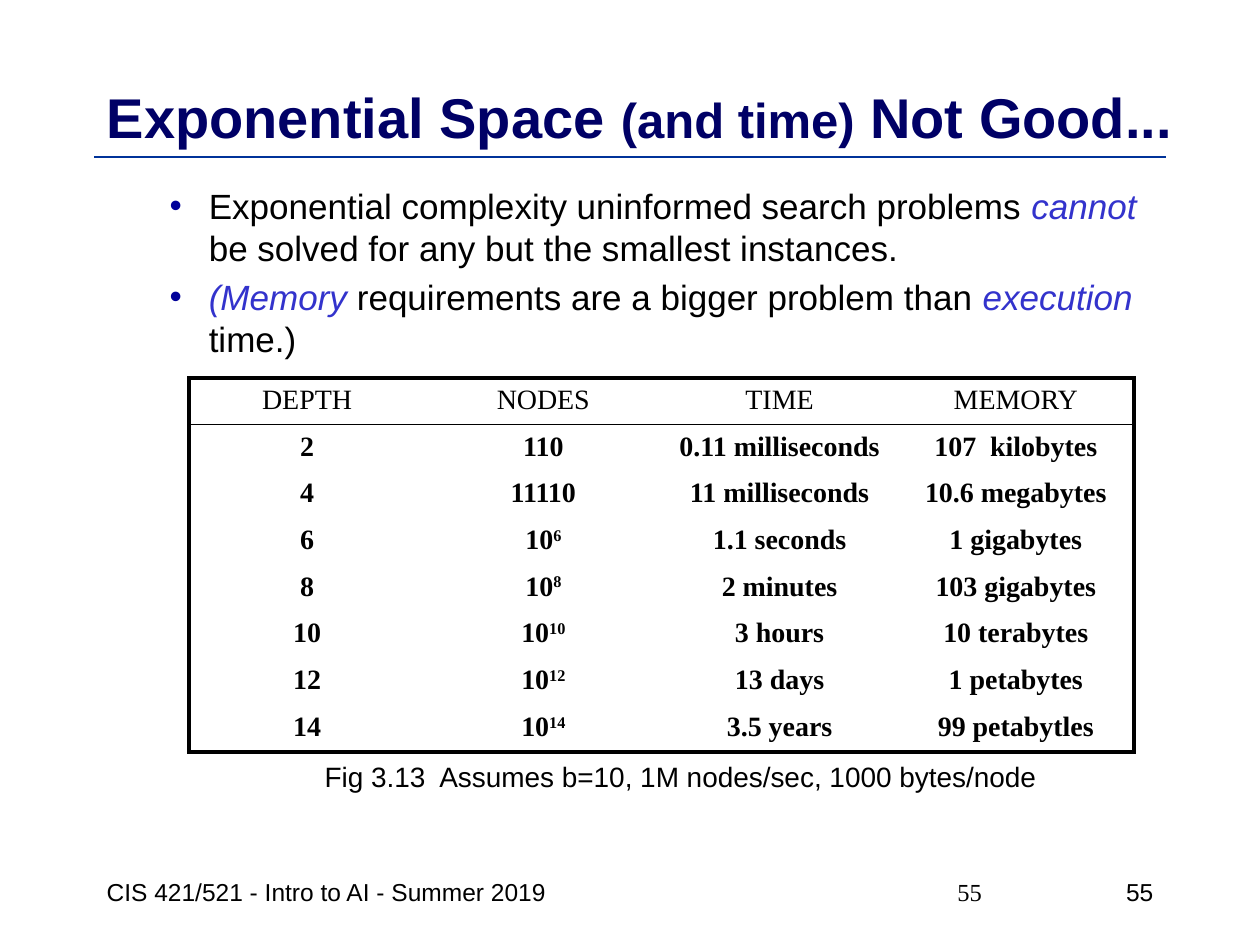
from lxml.etree import SubElement
from pptx import Presentation
from pptx.dml.color import RGBColor
from pptx.enum.text import MSO_ANCHOR as Anchor, PP_ALIGN as Align
from pptx.oxml import parse_xml
from pptx.oxml.ns import nsdecls, qn
from pptx.util import Cm, Pt

COLORS = {"black": "000000", "title": "000066", "rule": "003399",
          "bullet": "000099", "accent": "3333CC"}
SANS, SERIF = "Arial", "Times New Roman"

TITLE = [("Exponential Space ", 32), ("(and time)", 28), (" Not Good...", 32)]
# Each run: text, emphasised
BULLETS = [
    [("Exponential complexity uninformed search problems ", False),
     ("cannot ", True),
     ("be solved for any but the smallest instances.", False)],
    [("(Memory ", True), ("requirements are a bigger problem than ", False),
     ("execution ", True), ("time.)", False)],
]
# "^" starts a superscript
TABLE = [
    ("DEPTH", "NODES", "TIME", "MEMORY"),
    ("2", "110", "0.11 milliseconds", "107  kilobytes"),
    ("4", "11110", "11 milliseconds", "10.6 megabytes"),
    ("6", "10^6", "1.1 seconds", "1 gigabytes"),
    ("8", "10^8", "2 minutes", "103 gigabytes"),
    ("10", "10^10", "3 hours", "10 terabytes"),
    ("12", "10^12", "13 days", "1 petabytes"),
    ("14", "10^14", "3.5 years", "99 petabytles"),
]
# Text, font, size, alignment, left, top, width, height in cm
LABELS = [
    ("Fig 3.13  Assumes b=10, 1M nodes/sec, 1000 bytes/node",
     SANS, 16, Align.CENTER, 6.22, 15.14, 15, 1),
    ("CIS 421/521 - Intro to AI - Summer 2019",
     SANS, 14, Align.LEFT, 1.9, 17.35, 12, 1.27),
    ("55", SERIF, 14, Align.LEFT, 19.05, 17.35, 2, 1.27),
    ("55", SANS, 14, Align.RIGHT, 21.5, 17.35, 2, 1.27),
]


def rgb(name):
    return RGBColor.from_string(COLORS[name])


def add_run(p, text, font, size, color="black", bold=False, italic=False):
    r = p.add_run()
    r.text = text
    r.font.name, r.font.size = font, Pt(size)
    r.font.bold, r.font.italic = bold, italic
    r.font.color.rgb = rgb(color)
    return r


def add_text_frame(slide, left, top, width, height):
    box = slide.shapes.add_textbox(Cm(left), Cm(top), Cm(width), Cm(height))
    box.text_frame.word_wrap = True
    return box.text_frame


def add_title(slide):
    title = slide.shapes.title
    title.left, title.top = Cm(1.9), Cm(1.7)
    title.width, title.height = Cm(22.23), Cm(1.27)
    tf = title.text_frame
    tf.vertical_anchor = Anchor.MIDDLE
    p = tf.paragraphs[0]
    p.alignment = Align.LEFT
    for text, size in TITLE:
        add_run(p, text, SANS, size, "title", bold=True)


def add_rule(slide):
    line = slide.shapes.add_connector(1, Cm(1.9), Cm(3.17), Cm(23.5), Cm(3.17))
    line.line.color.rgb = rgb("rule")
    line.line.width = Pt(1)
    SubElement(line._element.spPr, qn("a:effectLst"))


def add_bullets(slide):
    tf = add_text_frame(slide, 1.9, 3.6, 21.6, 3.9)
    for i, runs in enumerate(BULLETS):
        p = tf.add_paragraph() if i else tf.paragraphs[0]
        pPr = p._p.get_or_add_pPr()
        pPr.set("marL", str(Cm(2.06)))
        pPr.set("indent", str(Cm(-0.79)))
        if i:
            p.space_before = Pt(4)
        color = SubElement(pPr, qn("a:buClr"))
        SubElement(color, qn("a:srgbClr"), val=COLORS["bullet"])
        SubElement(pPr, qn("a:buFont"), typeface=SANS)
        SubElement(pPr, qn("a:buChar"), char="•")
        for text, accent in runs:
            add_run(p, text, SANS, 20, "accent" if accent else "black",
                    italic=accent)


def set_borders(cell, widths):
    """Draw left, right, top and bottom borders; a width of 0 means none."""
    tcPr = cell._tc.get_or_add_tcPr()
    for i, (side, width) in enumerate(zip("LRTB", widths)):
        fill = (f'<a:solidFill><a:srgbClr val="{COLORS["black"]}"/></a:solidFill>'
                if width else "<a:noFill/>")
        tcPr.insert(i, parse_xml(
            f'<a:ln{side} {nsdecls("a")} w="{Pt(width)}">{fill}</a:ln{side}>'))


def add_table(slide):
    n_rows, n_cols = len(TABLE), len(TABLE[0])
    table = slide.shapes.add_table(n_rows, n_cols, Cm(3.81), Cm(7.62),
                                   Cm(19.05), Cm(7.54)).table
    table.first_row = table.horz_banding = False
    for i, row in enumerate(TABLE):
        for j, text in enumerate(row):
            cell = table.cell(i, j)
            cell.fill.background()
            set_borders(cell, (
                2.25 if j == 0 else 0,
                2.25 if j == n_cols - 1 else 0,
                {0: 2.25, 1: 1}.get(i, 0),
                {0: 1, n_rows - 1: 2.25}.get(i, 0)))
            p = cell.text_frame.paragraphs[0]
            p.alignment = Align.CENTER
            base, _, power = text.partition("^")
            add_run(p, base, SERIF, 16, bold=i > 0)
            if power:
                r = add_run(p, power, SERIF, 16, bold=True)
                r._r.get_or_add_rPr().set("baseline", "30000")


def add_labels(slide):
    for text, font, size, align, *place in LABELS:
        tf = add_text_frame(slide, *place)
        tf.vertical_anchor = Anchor.MIDDLE
        p = tf.paragraphs[0]
        p.alignment = align
        add_run(p, text, font, size)


def main():
    prs = Presentation()
    prs.slide_width, prs.slide_height = Cm(25.4), Cm(19.05)
    slide = prs.slides.add_slide(prs.slide_layouts[5])
    add_rule(slide)
    add_title(slide)
    add_bullets(slide)
    add_table(slide)
    add_labels(slide)
    prs.save("out.pptx")


if __name__ == "__main__":
    main()
